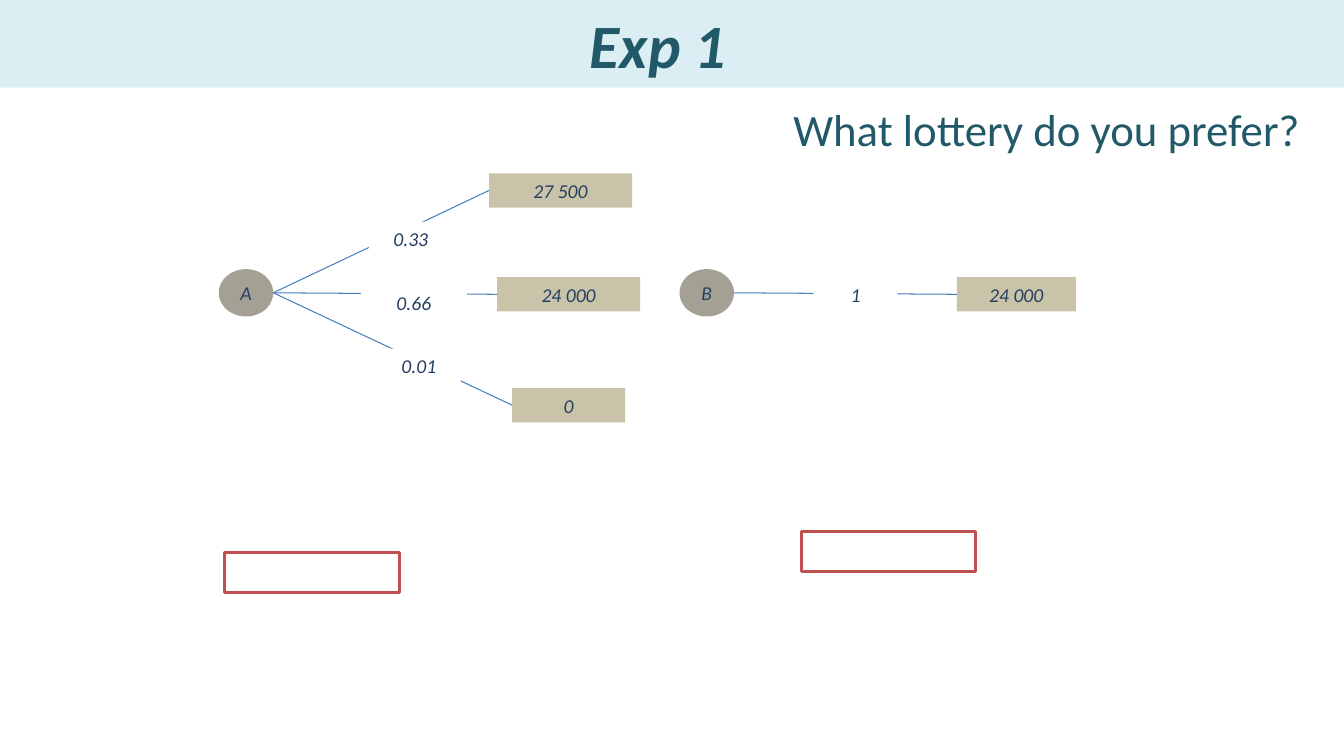
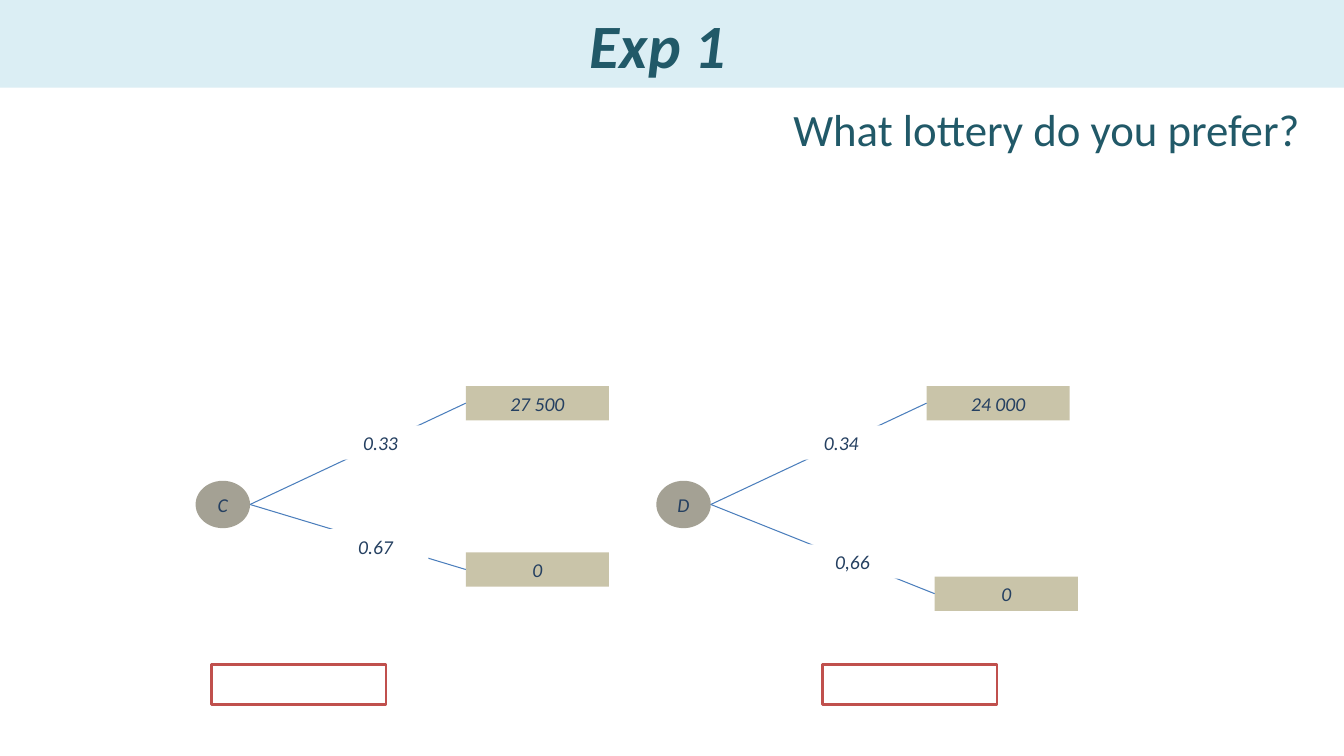
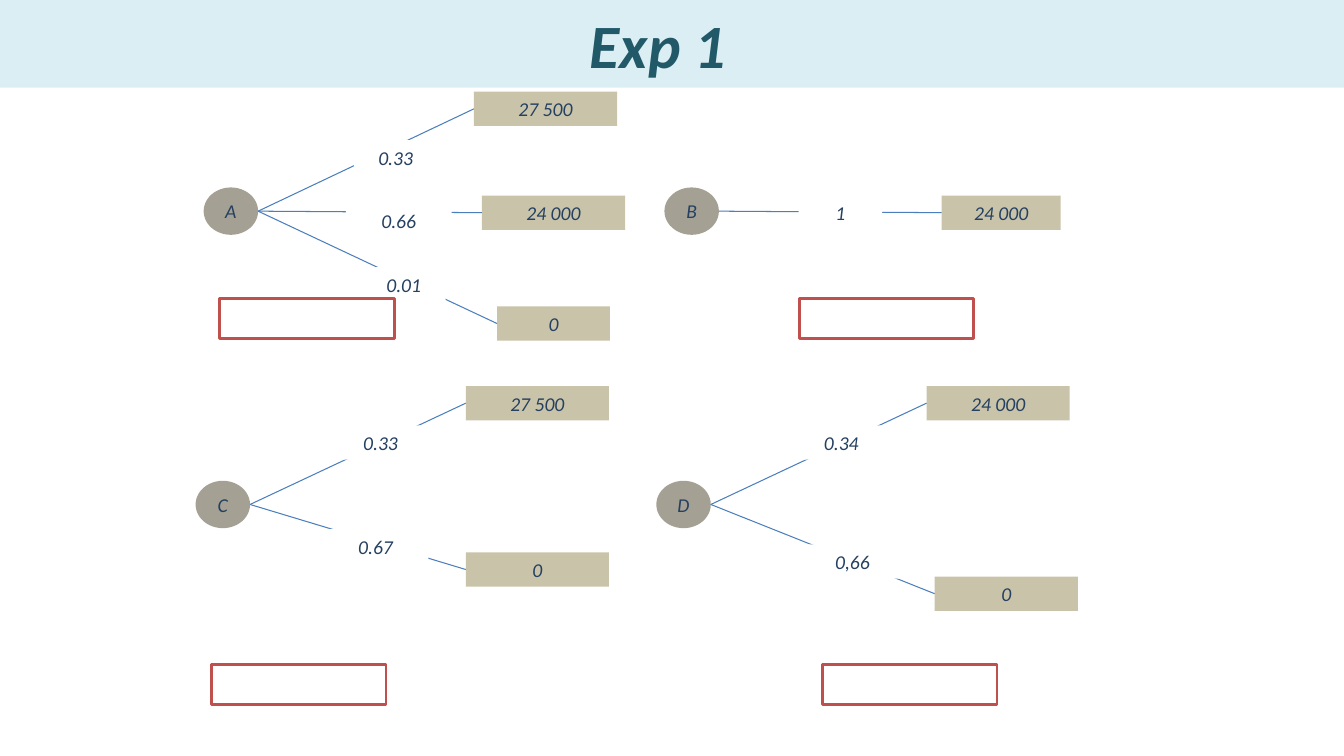
from lxml import etree
from pptx import Presentation
from pptx.dml.color import RGBColor
from pptx.enum.shapes import MSO_CONNECTOR, MSO_SHAPE
from pptx.enum.text import MSO_ANCHOR, PP_ALIGN
from pptx.oxml.ns import qn
from pptx.util import Inches, Pt

RECTANGLE, ELLIPSE = MSO_SHAPE.RECTANGLE, MSO_SHAPE.OVAL
STRAIGHT = MSO_CONNECTOR.STRAIGHT
MIDDLE, TOP = MSO_ANCHOR.MIDDLE, MSO_ANCHOR.TOP
CENTER, LEFT = PP_ALIGN.CENTER, PP_ALIGN.LEFT
LEFT_SIDE = 1

FONT = "Calibri"
COLORS = {
    "band": "DBEEF4",
    "heading": "215968",
    "label": "254061",
    "node": "4A452A",
    "outcome": "948A54",
    "branch": "4B7EBC",
    "choice": "C0504D",
    "white": "FFFFFF",
}

NODE_WIDTH, NODE_HEIGHT = 0.54, 0.47
BOX_HEIGHT = 0.34
CHOICE_WIDTH, CHOICE_HEIGHT = 1.73, 0.4

# Branches of each lottery: outcome and probability, each with its text,
# its offset from the node's top left corner, and its width
LOTTERIES = {
    "A": [
        (("27 500", 2.68, -0.95, 1.42), ("0.33", 1.49, -0.47, 0.83)),
        (("24 000", 2.76, 0.08, 1.42), ("0.66", 1.41, 0.16, 1.05)),
        (("0", 2.91, 1.18, 1.12), ("0.01", 1.57, 0.79, 0.83)),
    ],
    "B": [
        (("24 000", 2.75, 0.08, 1.18), ("1", 1.33, 0.08, 0.83)),
    ],
    "C": [
        (("27 500", 2.68, -0.94, 1.42), ("0.33", 1.42, -0.55, 0.83)),
        (("0", 2.68, 0.71, 1.42), ("0.67", 1.26, 0.48, 1.05)),
    ],
    "D": [
        (("24 000", 2.68, -0.94, 1.42), ("0.34", 1.42, -0.55, 0.83)),
        (("0", 2.76, 0.95, 1.42), ("0,66", 1.42, 0.63, 1.05)),
    ],
}

# Node positions and empty answer boxes on each slide
LOWER_NODES = {"C": (1.94, 4.77), "D": (6.51, 4.77)}
LOWER_CHOICES = [(2.1, 6.59), (8.16, 6.59)]
SLIDES = [
    {
        "question": True,
        "nodes": {"B": (6.74, 2.67), "A": (2.17, 2.67)},
        "choices": [(2.23, 5.48), (7.95, 5.27)],
    },
    {"question": True, "nodes": LOWER_NODES, "choices": LOWER_CHOICES},
    {
        "question": False,
        "nodes": {"B": (6.59, 1.86), "A": (2.02, 1.86), **LOWER_NODES},
        "choices": [(2.18, 2.96), (7.93, 2.96), *LOWER_CHOICES],
    },
]


def set_text(shape, text, size=14, color="label", bold=False, italic=True,
             align=CENTER, anchor=MIDDLE, wrap=True, margin=0.0):
    frame = shape.text_frame
    frame.word_wrap = wrap
    frame.vertical_anchor = anchor
    frame.margin_left = frame.margin_right = Inches(margin)
    frame.margin_top = frame.margin_bottom = Inches(margin / 2)
    paragraph = frame.paragraphs[0]
    paragraph.alignment = align
    run = paragraph.add_run()
    run.text = text
    run.font.name = FONT
    run.font.size = Pt(size)
    run.font.bold = bold
    run.font.italic = italic
    run.font.color.rgb = RGBColor.from_string(COLORS[color])


def add_box(shapes, kind, left, top, width, height, fill, opacity=100):
    box = shapes.add_shape(kind, Inches(left), Inches(top), Inches(width), Inches(height))
    box.shadow.inherit = False
    box.line.fill.background()
    box.fill.solid()
    box.fill.fore_color.rgb = RGBColor.from_string(COLORS[fill])
    if opacity < 100:
        color = box._element.spPr.find(qn("a:solidFill")).find(qn("a:srgbClr"))
        etree.SubElement(color, qn("a:alpha")).set("val", str(opacity * 1000))
    return box


presentation = Presentation()
presentation.slide_width = Inches(13.33)
presentation.slide_height = Inches(7.5)
title_only = presentation.slide_layouts[5]

for content in SLIDES:
    slide = presentation.slides.add_slide(title_only)

    # Title band, with the text slightly left of centre
    title = slide.shapes.title
    title.left, title.top = Inches(0), Inches(0)
    title.width, title.height = presentation.slide_width, Inches(0.87)
    title.fill.solid()
    title.fill.fore_color.rgb = RGBColor.from_string(COLORS["band"])
    set_text(title, "Exp 1", size=44, color="heading", bold=True, margin=0.1)
    title.text_frame.margin_right = Inches(0.38)

    # Question
    if content["question"]:
        question = slide.shapes.add_textbox(Inches(7.77), Inches(0.96), Inches(5.29), Inches(0.64))
        set_text(question, "What lottery do you prefer?", size=32, color="heading",
                 italic=False, align=LEFT, anchor=TOP, wrap=False, margin=0.1)

    # Lottery trees
    for name, (left, top) in content["nodes"].items():
        tree = slide.shapes.add_group_shape().shapes
        node = add_box(tree, ELLIPSE, left, top, NODE_WIDTH, NODE_HEIGHT, "node", opacity=50)
        set_text(node, name)
        start = Inches(left + NODE_WIDTH), Inches(top + NODE_HEIGHT / 2)

        for (prize, prize_x, prize_y, prize_width), (chance, chance_x, chance_y, chance_width) in LOTTERIES[name]:
            outcome = add_box(tree, RECTANGLE, left + prize_x, top + prize_y,
                              prize_width, BOX_HEIGHT, "outcome", opacity=50)
            set_text(outcome, prize)

            branch = tree.add_connector(STRAIGHT, *start, outcome.left, outcome.top + outcome.height // 2)
            branch.end_connect(outcome, LEFT_SIDE)
            branch.line.color.rgb = RGBColor.from_string(COLORS["branch"])
            branch.line.width = Pt(0.75)
            etree.SubElement(branch._element.spPr, qn("a:effectLst"))

            probability = add_box(tree, RECTANGLE, left + chance_x, top + chance_y,
                                  chance_width, BOX_HEIGHT, "white")
            set_text(probability, chance)

    # Answer boxes
    for left, top in content["choices"]:
        choice = add_box(slide.shapes, RECTANGLE, left, top, CHOICE_WIDTH, CHOICE_HEIGHT, "white")
        choice.line.color.rgb = RGBColor.from_string(COLORS["choice"])
        choice.line.width = Pt(2)

presentation.save("out.pptx")
